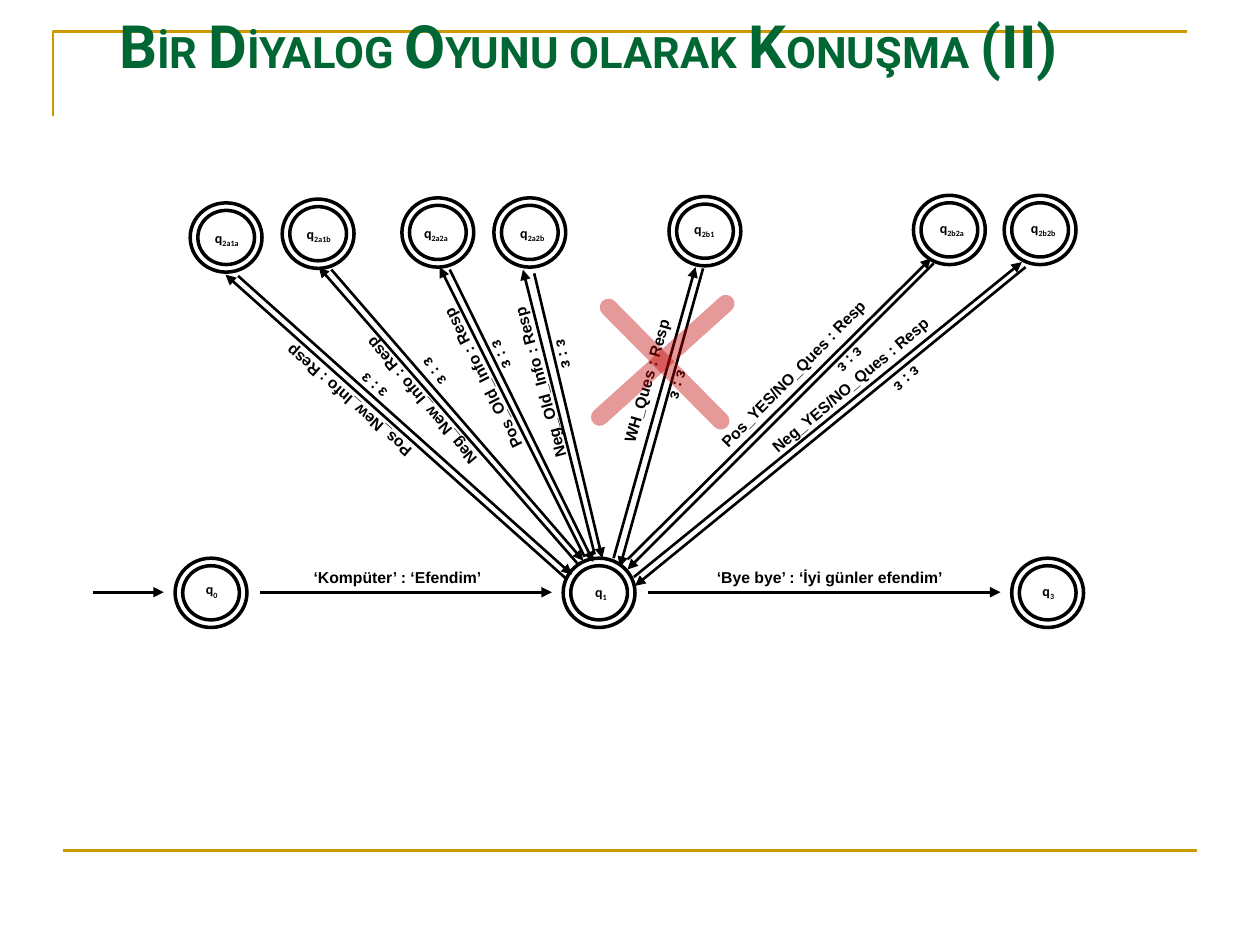
"""Build the slide of a dialogue game drawn as a finite-state transducer."""
import pptx
import pptx.dml.color
import pptx.enum.shapes
import pptx.enum.text
import pptx.oxml
import pptx.oxml.ns
import pptx.util

Inches = pptx.util.Inches
Pt = pptx.util.Pt
color = pptx.dml.color.RGBColor.from_string
ALIGN = pptx.enum.text.PP_ALIGN
OVAL = pptx.enum.shapes.MSO_SHAPE.OVAL
STRAIGHT = pptx.enum.shapes.MSO_CONNECTOR.STRAIGHT
NAMESPACE = pptx.oxml.ns.nsdecls("a")

NODE_FORMAT = {"name": "Calibri", "size": Pt(8), "bold": True}
LABEL_FORMAT = {"name": "Arial", "size": Pt(9), "bold": True}
BLACK, GOLD, GREEN, RED = "000000", "CC9900", "006633", "C00000"

presentation = pptx.Presentation()
presentation.slide_width = Inches(10)
presentation.slide_height = Inches(7.5)
slide = presentation.slides.add_slide(presentation.slide_layouts[6])


def add_text(box, runs, text_color=BLACK, align=ALIGN.LEFT, rotation=0, wrap=True):
    shape = slide.shapes.add_textbox(*map(Inches, box))
    shape.rotation = rotation
    shape.text_frame.word_wrap = wrap
    paragraph = shape.text_frame.paragraphs[0]
    paragraph.alignment = align
    for text, formats in runs:
        run = paragraph.add_run()
        run.text = text
        run.font.color.rgb = color(text_color)
        for name, value in formats.items():
            setattr(run.font, name, value)
    return shape


def add_line(start, end, line_color=BLACK, width=1.5, arrow=True):
    connector = slide.shapes.add_connector(STRAIGHT, *map(Inches, (*start, *end)))
    connector.line.color.rgb = color(line_color)
    connector.line.width = Pt(width)
    if arrow:
        tail = pptx.oxml.parse_xml(f'<a:tailEnd {NAMESPACE} type="triangle"/>')
        connector.line._get_or_add_ln().append(tail)
    connector._element.spPr.append(pptx.oxml.parse_xml(f"<a:effectLst {NAMESPACE}/>"))
    return connector


builder = slide.shapes.build_freeform(Inches(0.42), Inches(0.92))
builder.add_line_segments(
    [(Inches(0.42), Inches(0.25)), (Inches(9.42), Inches(0.25))], close=False)
corner = builder.convert_to_shape()
corner.fill.background()
corner.line.color.rgb = color(GOLD)
corner.line.width = Pt(1.5)
corner.shadow.inherit = False
add_line((0.5, 6.75), (9.5, 6.75), GOLD, arrow=False)

nodes = [
    ("0", 1.39, 4.43, 1.52, 4.56, 0.32),
    ("1", 4.47, 4.43, 4.61, 4.58, 0.32),
    ("3", 8.03, 4.43, 8.16, 4.57, 0.32),
    ("2a1a", 1.51, 1.61, 1.59, 1.77, 0.42),
    ("2a1b", 2.24, 1.58, 2.32, 1.74, 0.42),
    ("2a2a", 3.19, 1.57, 3.25, 1.73, 0.42),
    ("2a2b", 3.92, 1.57, 4.02, 1.73, 0.41),
    ("2b1", 5.31, 1.56, 5.4, 1.7, 0.38),
    ("2b2a", 7.25, 1.55, 7.34, 1.69, 0.43),
    ("2b2b", 7.97, 1.55, 8.07, 1.69, 0.42),
]
for subscript, left, top, label_left, label_top, label_width in nodes:
    label = add_text((label_left, label_top, label_width, 0.28),
                     [("q", NODE_FORMAT), (subscript, NODE_FORMAT)],
                     align=ALIGN.CENTER, wrap=False)
    label.fill.solid()
    label.fill.fore_color.rgb = color("FFFFFF")
    label.text_frame.paragraphs[0].runs[1]._r.get_or_add_rPr().set("baseline", "-25000")
    for inset, width, height in [(0, 0.57, 0.55), (0.06, 0.45, 0.43)]:
        ring = slide.shapes.add_shape(
            OVAL, *map(Inches, (left + inset, top + inset, width, height)))
        ring.fill.background()
        ring.line.color.rgb = color(BLACK)
        ring.line.width = Pt(2)
        ring.shadow.inherit = False

for start, end in [(0.74, 1.3), (2.06, 4.38), (5.14, 7.94)]:
    add_line((start, 4.7), (end, 4.7))
for text, left, width in [("‘Kompüter’ : ‘Efendim’", 2.39, 1.72),
                          ("‘Bye bye’ : ‘İyi günler efendim’", 5.59, 2.15)]:
    add_text((left, 4.46, width, 0.25), [(text, LABEL_FORMAT)])

branches = [
    ("Pos_New_Info", (2.03, 3.06, 1.47), 221.1, (2.77, 2.92), 41.9,
     (4.49, 4.59), (1.79, 2.18), (1.89, 2.19), (4.54, 4.56)),
    ("Neg_New_Info", (2.6, 3.06, 1.48), 229.6, (3.25, 2.81), 52.3,
     (4.59, 4.48), (2.53, 2.12), (2.63, 2.14), (4.63, 4.45)),
    ("Pos_Old_Info", (3.12, 2.88, 1.42), 243.1, (3.78, 2.68), 65,
     (4.64, 4.42), (3.49, 2.12), (3.57, 2.14), (4.71, 4.46)),
    ("Neg_Old_Info", (3.57, 2.91, 1.43), 254.6, (4.27, 2.68), 77.6,
     (4.72, 4.4), (4.15, 2.14), (4.24, 2.17), (4.78, 4.43)),
    ("WH_Ques", (4.53, 2.9, 1.2), 286.1, (5.18, 2.93), 106,
     (4.87, 4.43), (5.52, 2.12), (5.58, 2.13), (4.92, 4.5)),
    ("Pos_YES/NO_Ques", (5.41, 2.84, 1.77), 314.4, (6.54, 2.74), 134.2,
     (4.98, 4.44), (7.39, 2.05), (7.41, 2.09), (4.98, 4.52)),
    ("Neg_YES/NO_Ques", (5.86, 2.93, 1.77), 319.9, (6.99, 2.89), 137.5,
     (5.03, 4.58), (8.11, 2.08), (8.14, 2.12), (5.04, 4.65)),
]
for move, move_box, move_angle, empty_place, empty_angle, *ends in branches:
    add_line(*ends[:2])
    add_line(*ends[2:])
    for text, box, angle in [(f"{move} : Resp", move_box, move_angle),
                             ("ԑ : ԑ", (*empty_place, 0.43), empty_angle)]:
        label = add_text((*box, 0.25), [(text, LABEL_FORMAT)], rotation=angle)
        label.text_frame.margin_right = 0

for start, end in [((4.76, 3.31), (5.76, 2.41)), ((5.72, 3.34), (4.83, 2.44))]:
    stroke = add_line(start, end, RED, 10, arrow=False)
    outline = stroke.line._get_or_add_ln()
    outline.set("cap", "rnd")
    outline.find(".//" + pptx.oxml.ns.qn("a:srgbClr")).append(
        pptx.oxml.parse_xml(f'<a:alpha {NAMESPACE} val="40000"/>'))

title_parts = ["B", "İR ", "D", "İYALOG ", "O", "YUNU OLARAK ", "K", "ONUŞMA ", "(II)"]
title_runs = [
    (part, {"name": "Roboto", "size": Pt(24.8 if index % 2 else 34.1), "bold": True})
    for index, part in enumerate(title_parts)]
title = add_text((0.26, 0.13, 9, 0.81), title_runs, GREEN, ALIGN.CENTER)
title.text_frame.margin_right = Inches(0.28)
title.text_frame.paragraphs[0].line_spacing = 0.8

presentation.save("out.pptx")
